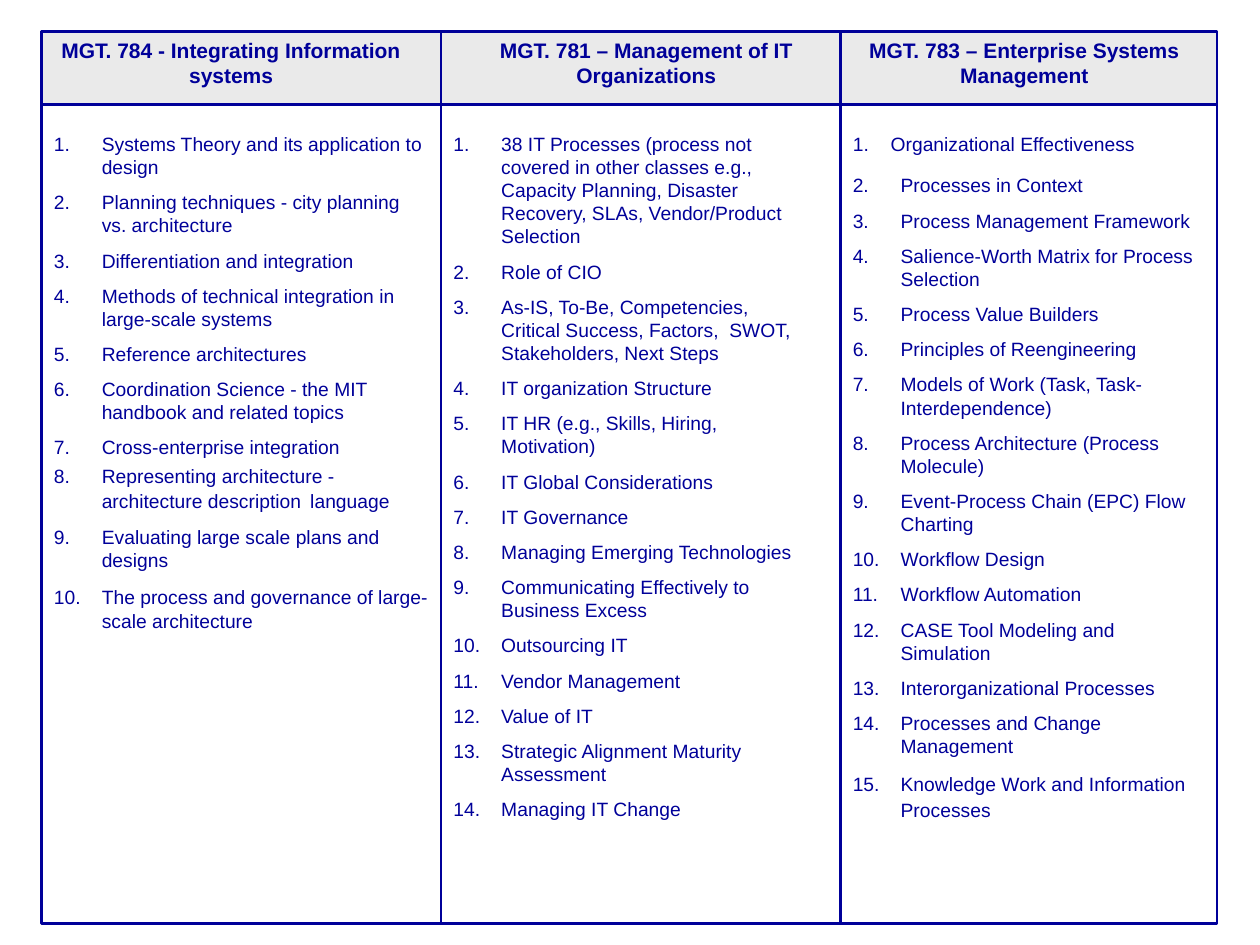
"""Build a slide comparing the topics of three management courses in columns."""
from lxml import etree
from pptx import Presentation
from pptx.dml.color import RGBColor
from pptx.enum.shapes import MSO_CONNECTOR, MSO_SHAPE
from pptx.enum.text import MSO_AUTO_SIZE, PP_ALIGN
from pptx.oxml.ns import qn
from pptx.util import Inches, Pt

RECTANGLE = MSO_SHAPE.RECTANGLE
STRAIGHT = MSO_CONNECTOR.STRAIGHT
FIT_SHAPE = MSO_AUTO_SIZE.SHAPE_TO_FIT_TEXT
CENTER = PP_ALIGN.CENTER
NAVY = RGBColor(0x00, 0x00, 0x99)
GRAY = RGBColor(0xEA, 0xEA, 0xEA)
WHITE = RGBColor(0xFF, 0xFF, 0xFF)
WIDE_SPACE = "|"
TOP, BOTTOM = 0.25, 7.33

HEADINGS = [
    (0.17, 3.33, "MGT. 784 - Integrating Information systems"),
    (3.67, 2.92, "MGT. 781 – Management of IT Organizations"),
    (6.67, 2.92, "MGT. 783 – Enterprise Systems Management"),
]
INTEGRATION_TOPICS = [
    "Systems Theory and its application to design",
    "Planning techniques - city planning vs. architecture",
    "Differentiation and integration",
    "Methods of technical integration in large-scale systems",
    "Reference architectures",
    "Coordination Science - the MIT handbook and related topics",
    "Cross-enterprise integration",
    "Representing architecture - architecture description|language",
    "Evaluating large scale plans and designs",
    "The process and governance of large-scale architecture|",
]
ORGANIZATION_TOPICS = [
    "38 IT Processes (process not covered in other classes e.g., Capacity Planning, "
    "Disaster Recovery, SLAs, Vendor/Product Selection",
    "Role of CIO",
    "As-IS, To-Be, Competencies, Critical Success, Factors,  SWOT, Stakeholders, Next Steps",
    "IT organization Structure",
    "IT HR (e.g., Skills, Hiring, Motivation)",
    "IT Global Considerations",
    "IT Governance",
    "Managing Emerging Technologies",
    "Communicating Effectively to Business Excess",
    "Outsourcing IT",
    "Vendor Management",
    "Value of IT",
    "Strategic Alignment Maturity Assessment",
    "Managing IT Change",
]
ENTERPRISE_TOPICS = [
    "Processes in Context",
    "Process Management Framework",
    "Salience-Worth Matrix for Process Selection",
    "Process Value Builders",
    "Principles of Reengineering",
    "Models of Work (Task, Task-Interdependence)",
    "Process Architecture (Process Molecule)",
    "Event-Process Chain (EPC) Flow Charting",
    "Workflow Design",
    "Workflow Automation",
    "CASE Tool Modeling and Simulation",
    "Interorganizational Processes",
    "Processes and Change Management",
    "Knowledge Work and Information Processes|",
]
LISTS = [
    (3.5, 1, 3, 5.57, 1, 0.38, 0.7, ORGANIZATION_TOPICS),
    (0.33, 1, 3.17, 4.09, 1, 0.38, 0.7, INTEGRATION_TOPICS),
    (6.67, 1, 2.92, 0.29, 1, 0.3, 0.7, ["Organizational Effectiveness"]),
    (6.67, 1.33, 3, 5.26, 2, 0.38, 0.75, ENTERPRISE_TOPICS),
]


def add_text_frame(left, top, width, height):
    text_box = slide.shapes.add_textbox(
        Inches(left), Inches(top), Inches(width), Inches(height))
    text_frame = text_box.text_frame
    text_frame.word_wrap = True
    text_frame.auto_size = FIT_SHAPE
    return text_frame


def format_font(font, size, bold):
    font.name = "Arial"
    font.size = Pt(size)
    font.bold = bold
    font.color.rgb = NAVY


presentation = Presentation()
presentation.slide_width = Inches(10)
presentation.slide_height = Inches(7.5)
slide = presentation.slides.add_slide(presentation.slide_layouts[6])

for top, height, color in [(0.75, 6.58, WHITE), (TOP, 0.58, GRAY)]:
    panel = slide.shapes.add_shape(
        RECTANGLE, Inches(0.33), Inches(top), Inches(9.33), Inches(height))
    panel.shadow.inherit = False
    panel.fill.solid()
    panel.fill.fore_color.rgb = color
    panel.line.color.rgb = NAVY
    panel.line.width = Pt(1.5)

for x in (3.5, 6.67):
    divider = slide.shapes.add_connector(
        STRAIGHT, Inches(x), Inches(TOP), Inches(x), Inches(BOTTOM))
    divider.line.color.rgb = NAVY
    divider.line.width = Pt(1.5)
    etree.SubElement(divider._element.spPr, qn("a:effectLst"))

for left, width, heading in HEADINGS:
    paragraph = add_text_frame(left, TOP, width, 0.5).paragraphs[0]
    paragraph.text = heading
    paragraph.alignment = CENTER
    format_font(paragraph.font, 12, True)

for left, top, width, height, start, indent, tight_spacing, topics in LISTS:
    text_frame = add_text_frame(left, top, width, height)
    for index, topic in enumerate(topics):
        paragraph = text_frame.add_paragraph() if index else text_frame.paragraphs[0]
        if index:
            paragraph.space_before = Pt(11.2 if topic.endswith(WIDE_SPACE) else 6.9)
        if WIDE_SPACE in topic:
            paragraph.line_spacing = tight_spacing
        properties = paragraph._p.get_or_add_pPr()
        properties.set("marL", str(Inches(indent)))
        properties.set("indent", str(-Inches(indent)))
        bullet_color = etree.SubElement(properties, qn("a:buClr"))
        etree.SubElement(bullet_color, qn("a:srgbClr"), val=str(NAVY))
        etree.SubElement(
            properties, qn("a:buAutoNum"), type="arabicPeriod", startAt=str(start))
        format_font(paragraph.font, 11, False)
        before, wide_space, after = topic.partition(WIDE_SPACE)
        paragraph.add_run().text = before
        if wide_space:
            space = paragraph.add_run()
            space.text = " "
            space.font.size = Pt(18)
        if after:
            paragraph.add_run().text = after

presentation.save("out.pptx")
